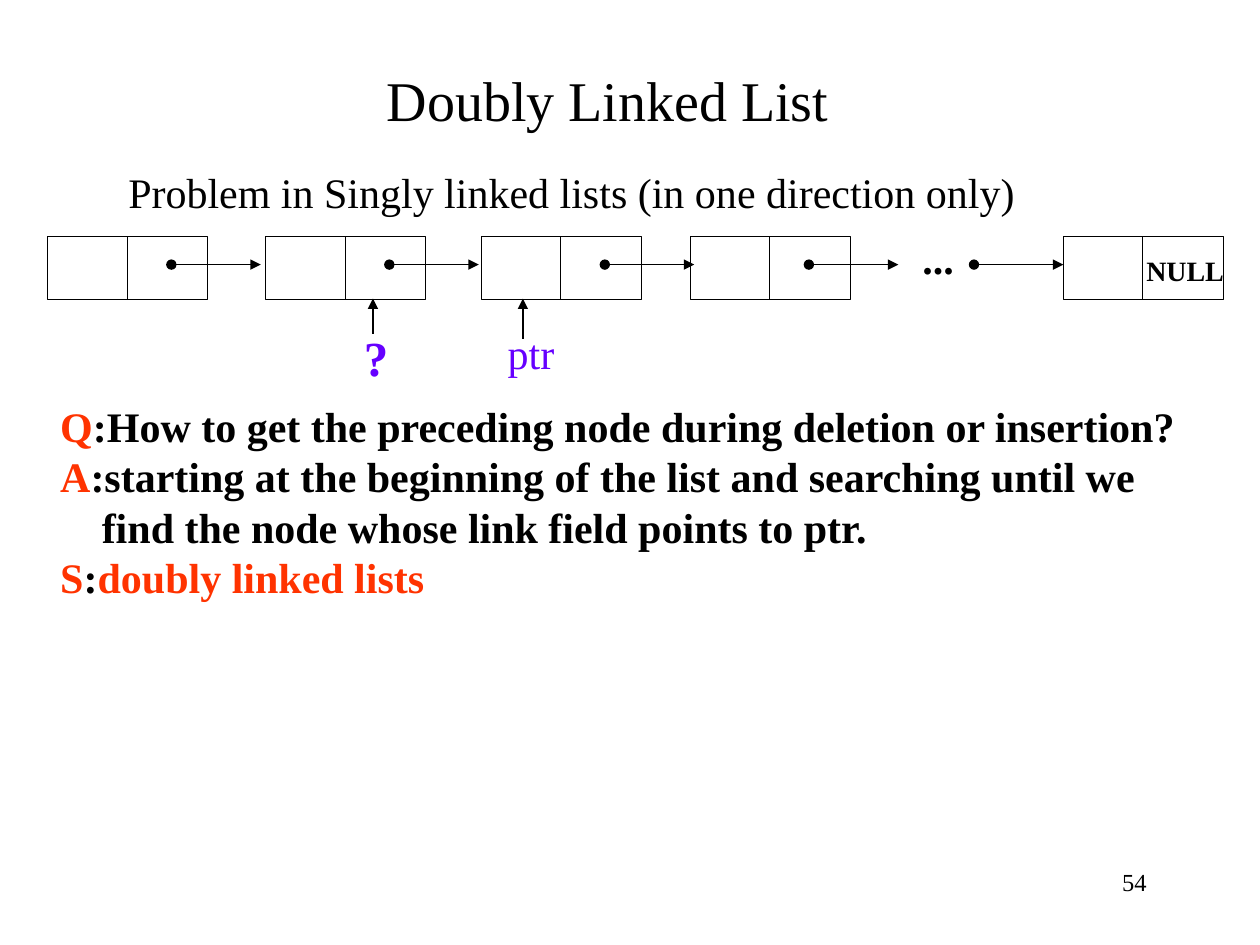
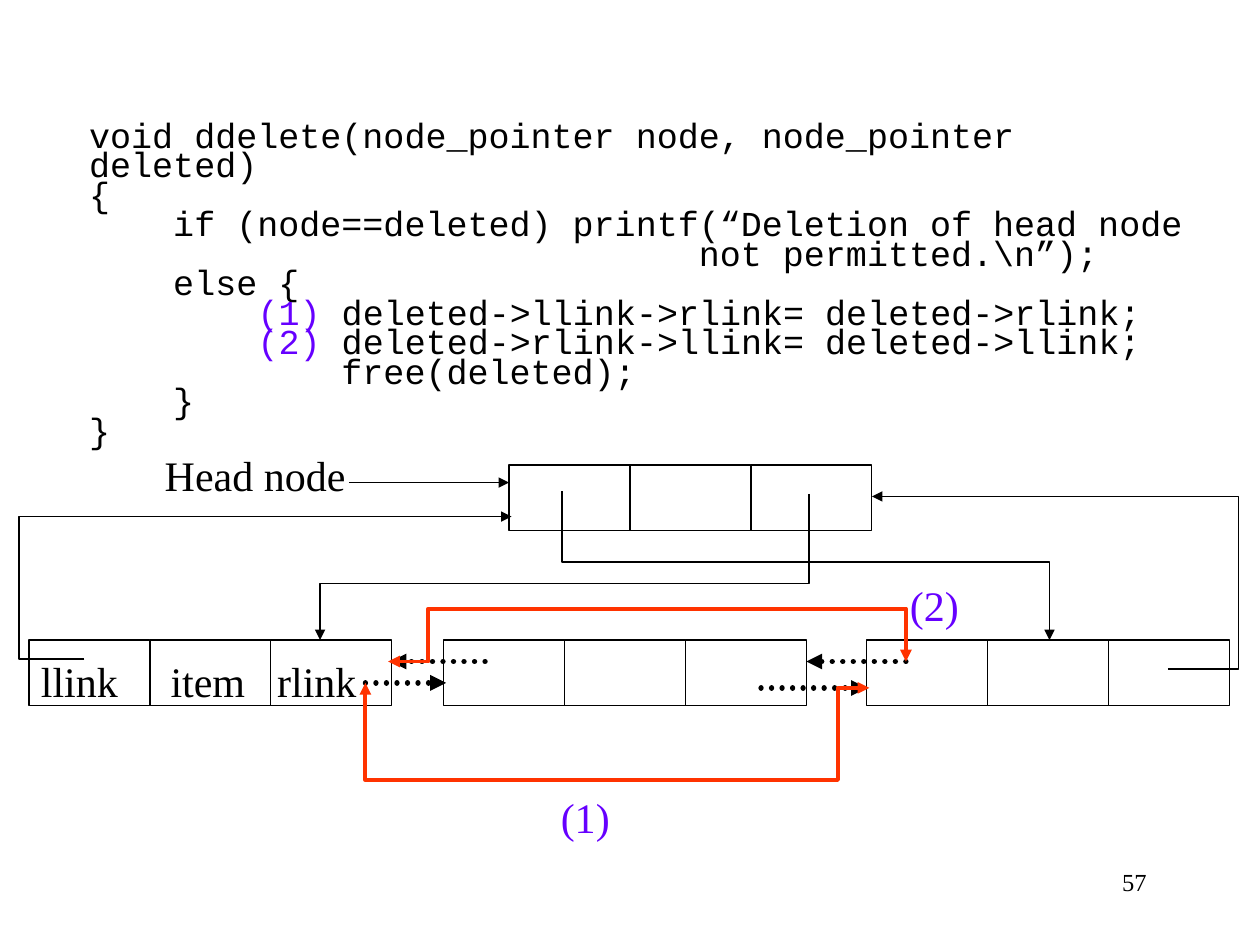
from lxml import etree
from pptx import Presentation
from pptx.dml.color import RGBColor
from pptx.enum.dml import MSO_LINE
from pptx.enum.shapes import MSO_CONNECTOR, MSO_SHAPE
from pptx.enum.text import MSO_ANCHOR, MSO_AUTO_SIZE, PP_ALIGN
from pptx.oxml.ns import qn
from pptx.util import Inches, Pt

BLACK = RGBColor(0x00, 0x00, 0x00)
VIOLET = RGBColor(0x66, 0x00, 0xFF)
RED = RGBColor(0xFF, 0x33, 0x00)
SERIF, MONO = "Times New Roman", "Courier New"
LEFT, CENTER, RIGHT = PP_ALIGN.LEFT, PP_ALIGN.CENTER, PP_ALIGN.RIGHT
STRAIGHT, RECTANGLE = MSO_CONNECTOR.STRAIGHT, MSO_SHAPE.RECTANGLE
TOP, FIT, NO_FIT = MSO_ANCHOR.TOP, MSO_AUTO_SIZE.SHAPE_TO_FIT_TEXT, MSO_AUTO_SIZE.NONE
ROUND_DOT = MSO_LINE.ROUND_DOT
TITLE_ONLY, BLANK = 5, 6

TITLE = "Doubly Linked List"
PROBLEM = "Problem in Singly linked lists (in one direction only)"
ANSWERS = [
    (0, [("Q", RED), (":How to get the preceding node during deletion or insertion?", BLACK)]),
    (0, [("A", RED), (":starting at the beginning of the list and searching until we", BLACK)]),
    (0.33, [("find the node whose link field points to ptr.", BLACK)]),
    (0, [("S", RED), (":", BLACK), ("doubly linked lists", RED)]),
]
SINGLE_NODE_LEFTS = [0.38, 2.11, 3.82, 5.48, 8.44]
LINK_STARTS = [1.36, 3.09, 4.8, 6.42, 7.73]
POINTERS = [((4.15, 2.69), (4.15, 2.37)), ((2.96, 2.65), (2.96, 2.37))]
SINGLE_LABELS = [
    ("...", (7.22, 1.8, 0.45, 0.5), 24, BLACK, True),
    ("NULL", (8.95, 1.96, 0.91, 0.37), 16, BLACK, True),
    ("ptr", (3.93, 2.55, 0.57, 0.5), 24, VIOLET, False),
    ("?", (2.79, 2.55, 0.39, 0.57), 28, VIOLET, True),
]

CODE = [
    [("void ddelete(node_pointer node, node_pointer deleted)", BLACK)],
    [("{", BLACK)],
    [("    if (node==deleted) printf(“Deletion of head node", BLACK)],
    [("                             not permitted.\\n”);", BLACK)],
    [("    else {", BLACK)],
    [("        ", BLACK), ("(1) ", VIOLET), ("deleted->llink->rlink= deleted->rlink;", BLACK)],
    [("        ", BLACK), ("(2) ", VIOLET), ("deleted->rlink->llink= deleted->llink;", BLACK)],
    [("            free(deleted);", BLACK)],
    [("    }", BLACK)],
    [("}", BLACK)],
]
DOUBLE_NODES = [(4.04, 3.69), (3.52, 5.08), (6.88, 5.08), (0.23, 5.08)]
RING_LINKS = [
    [(4.46, 3.9), (4.46, 4.46), (8.33, 4.46), (8.33, 5.08)],
    [(6.42, 3.92), (6.42, 4.63), (2.54, 4.63), (2.54, 5.08)],
    [(0.67, 5.23), (0.15, 5.23), (0.15, 4.1), (4.06, 4.1)],
    [(9.27, 5.31), (9.83, 5.31), (9.83, 3.94), (6.92, 3.94)],
]
HEAD_POINTER = ((2.77, 3.83), (4.04, 3.83))
REMOVED_LINKS = [
    ((2.9, 5.42), (3.54, 5.42)),
    ((6.04, 5.46), (6.88, 5.46)),
    ((7.19, 5.25), (6.4, 5.25)),
    ((3.85, 5.25), (3.1, 5.25)),
]
NEW_LINKS = [
    [(2.9, 5.42), (2.9, 6.19), (6.65, 6.19), (6.65, 5.46), (6.9, 5.46)],
    [(7.19, 5.25), (7.19, 4.83), (3.4, 4.83), (3.4, 5.25), (3.08, 5.25)],
]
DOUBLE_LABELS = [
    ("Head node", (1.16, 3.52, 1.73, 0.5), BLACK),
    ("llink", (0.22, 5.15, 0.82, 0.5), BLACK),
    ("item", (1.25, 5.15, 0.8, 0.5), BLACK),
    ("rlink", (2.1, 5.15, 0.83, 0.5), BLACK),
    ("(1)", (4.35, 6.23, 0.59, 0.5), VIOLET),
    ("(2)", (7.12, 4.55, 0.59, 0.5), VIOLET),
]


def format_paragraph(para, size, color=None, bold=False, align=LEFT, font=SERIF):
    """Set the alignment and font of a paragraph."""
    para.alignment = align
    para.font.name, para.font.size, para.font.bold = font, Pt(size), bold
    if color is not None:
        para.font.color.rgb = color


def format_frame(frame, wrap=False, fit=FIT):
    """Set the wrapping, fitting and insets of a text frame."""
    frame.word_wrap, frame.auto_size, frame.vertical_anchor = wrap, fit, TOP
    frame.margin_left = frame.margin_right = Inches(0.1)
    frame.margin_top = frame.margin_bottom = Inches(0.05)


def add_text(page, text, place, size, color=BLACK, bold=False, align=CENTER, wrap=False, fit=FIT):
    """Add a text box holding one paragraph."""
    frame = page.shapes.add_textbox(*map(Inches, place)).text_frame
    format_frame(frame, wrap, fit)
    frame.text = text
    format_paragraph(frame.paragraphs[0], size, color, bold, align)


def add_spans(para, spans):
    """Fill a paragraph with coloured spans."""
    for text, color in spans:
        span = para.add_run()
        span.text = text
        span.font.color.rgb = color


def add_paragraphs(frame, count):
    """Return the given number of paragraphs of an empty frame."""
    return [frame.paragraphs[0]] + [frame.add_paragraph() for _ in range(count - 1)]


def style_line(shape, color=BLACK, width=0.75, head=None, tail=None, dotted=False):
    """Set the stroke and arrowheads of a shape or connector."""
    shape.line.color.rgb, shape.line.width = color, Pt(width)
    properties = shape.element.spPr
    stroke = properties.find(qn("a:ln"))
    if dotted:
        shape.line.dash_style = ROUND_DOT
        stroke.set("cap", "rnd")
    for tag, kind in (("a:headEnd", head), ("a:tailEnd", tail)):
        if kind:
            etree.SubElement(stroke, qn(tag)).set("type", kind)
    if properties.find(qn("a:effectLst")) is None:
        etree.SubElement(properties, qn("a:effectLst"))


def add_line(shapes, start, end, **style):
    """Add a straight line between two points."""
    style_line(shapes.add_connector(STRAIGHT, *map(Inches, start + end)), **style)


def add_bent_line(page, points, **style):
    """Add an open line through several points."""
    corners = [(Inches(x), Inches(y)) for x, y in points]
    builder = page.shapes.build_freeform(*corners[0])
    builder.add_line_segments(corners[1:], close=False)
    shape = builder.convert_to_shape()
    shape.shadow.inherit = False
    shape.fill.background()
    style_line(shape, **style)


def add_cell(shapes, left, top, width, height):
    """Add an unfilled rectangle."""
    cell = shapes.add_shape(RECTANGLE, *map(Inches, (left, top, width, height)))
    cell.shadow.inherit = False
    cell.fill.background()
    style_line(cell)


def add_page(deck, layout, number):
    """Add a page with its number at the bottom right."""
    page = deck.slides.add_slide(deck.slide_layouts[layout])
    add_text(page, number, (7.12, 6.83, 2.08, 0.5), 14, align=RIGHT, wrap=True, fit=NO_FIT)
    return page


def build_problem_page(deck):
    """Show the singly linked list and its problem."""
    page = add_page(deck, TITLE_ONLY, "54")
    title = page.shapes.title
    title.left, title.top, title.width, title.height = map(Inches, (2.87, 0.47, 3.91, 0.64))
    title.text = TITLE
    format_frame(title.text_frame)
    format_paragraph(title.text_frame.paragraphs[0], 32, BLACK, align=CENTER)
    add_text(page, PROBLEM, (0.92, 1.27, 7.4, 0.5), 24, align=LEFT, wrap=True)

    for left in SINGLE_NODE_LEFTS:
        node = page.shapes.add_group_shape().shapes
        add_cell(node, left, 1.88, 1.27, 0.5)
        add_line(node, (left + 0.63, 1.88), (left + 0.63, 2.38))
    for left in LINK_STARTS:
        add_line(page.shapes, (left, 2.1), (left + 0.71, 2.1), head="oval", tail="triangle")
    for start, end in POINTERS:
        add_line(page.shapes, start, end, tail="triangle")
    for text, place, size, color, bold in SINGLE_LABELS:
        add_text(page, text, place, size, color, bold)

    frame = page.shapes.add_textbox(*map(Inches, (0.38, 3.13, 9.2, 1.7))).text_frame
    format_frame(frame, wrap=True)
    for para, (indent, spans) in zip(add_paragraphs(frame, len(ANSWERS)), ANSWERS):
        add_spans(para, spans)
        format_paragraph(para, 24, bold=True)
        if indent:
            para.font._element.getparent().set("marL", str(Inches(indent)))


def build_deletion_page(deck):
    """Show the deletion code and the links that it changes."""
    page = add_page(deck, BLANK, "57")
    frame = page.shapes.add_textbox(*map(Inches, (0.61, 0.61, 8.9, 2.93))).text_frame
    format_frame(frame, wrap=True, fit=NO_FIT)
    frame.margin_top = Inches(0.39)
    for para, spans in zip(add_paragraphs(frame, len(CODE)), CODE):
        add_spans(para, spans)
        format_paragraph(para, 20, font=MONO)
        para.line_spacing = Pt(16.85)

    for left, top in DOUBLE_NODES:
        node = page.shapes.add_group_shape().shapes
        for column in range(3):
            add_cell(node, left + 0.96 * column, top, 0.96, 0.52)
    for points in RING_LINKS:
        add_bent_line(page, points, tail="triangle")
    add_line(page.shapes, *HEAD_POINTER, tail="triangle")
    for start, end in REMOVED_LINKS:
        add_line(page.shapes, start, end, width=3, tail="triangle", dotted=True)
    for text, place, color in DOUBLE_LABELS:
        add_text(page, text, place, 24, color)
    for points in NEW_LINKS:
        add_bent_line(page, points, color=RED, width=2.25, head="triangle", tail="triangle")


def main():
    """Build and save the deck."""
    deck = Presentation()
    deck.slide_width, deck.slide_height = Inches(10), Inches(7.5)
    build_problem_page(deck)
    build_deletion_page(deck)
    deck.save("out.pptx")


if __name__ == "__main__":
    main()
